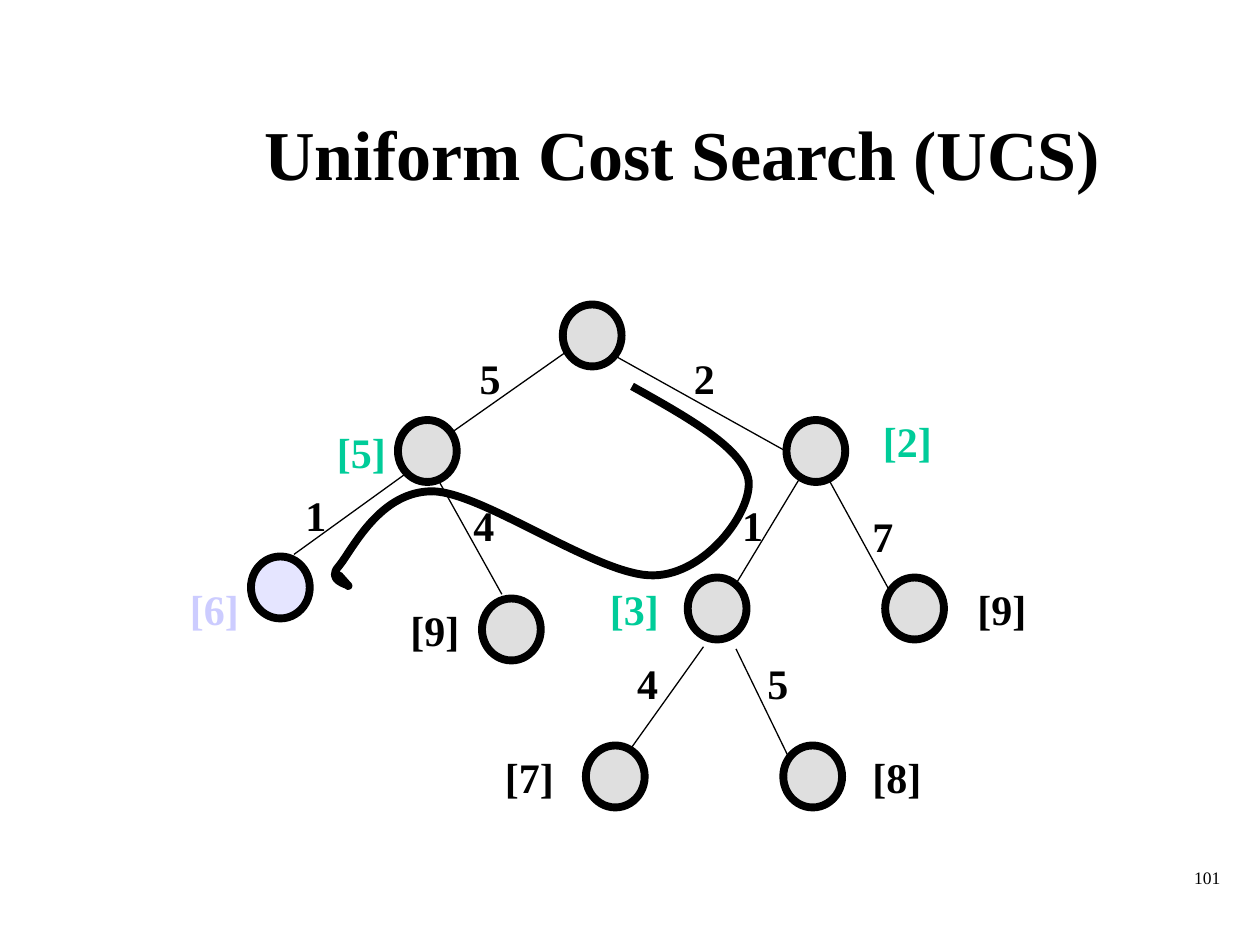
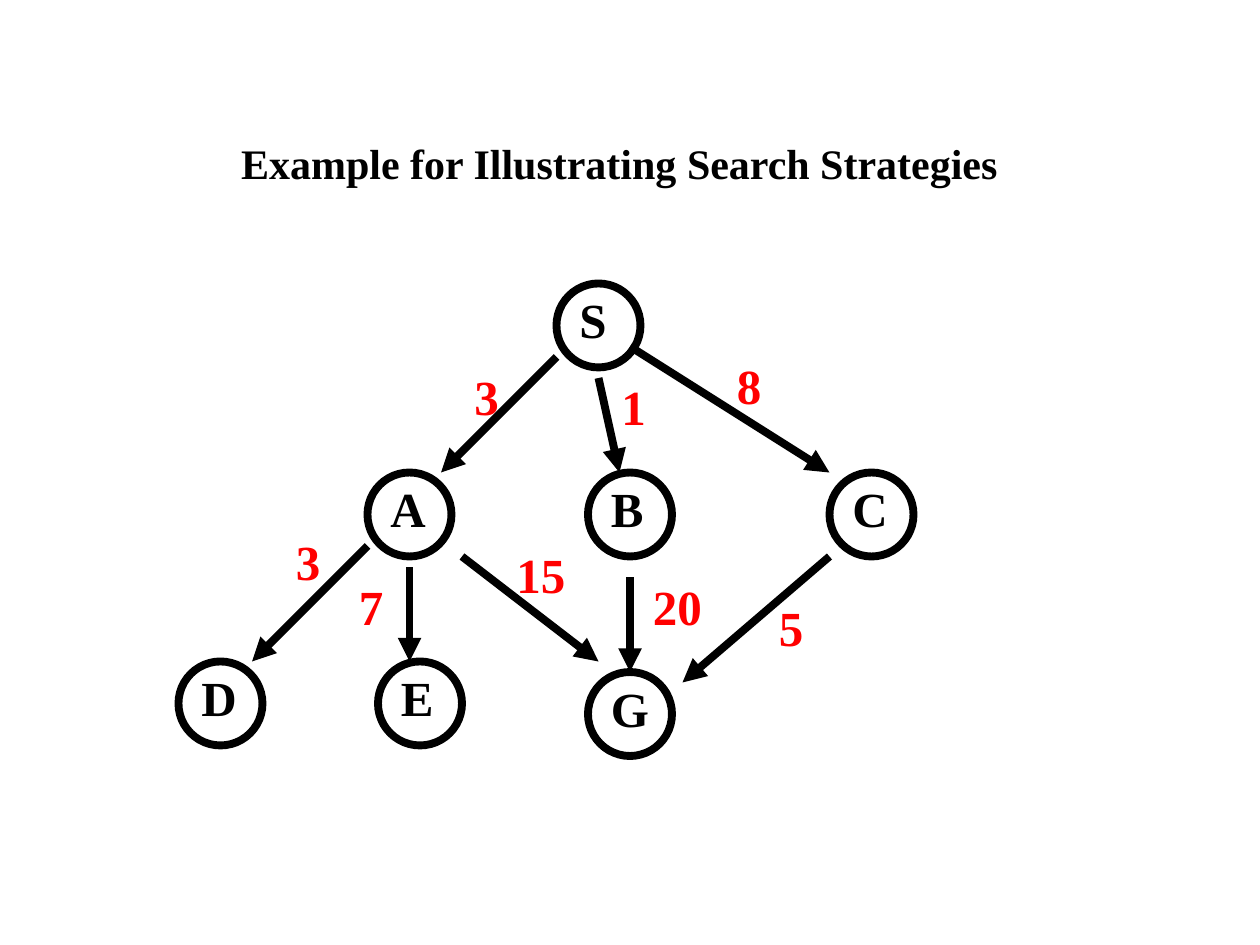
import typing

import pptx
import pptx.dml.color
import pptx.enum.shapes
import pptx.enum.text
import pptx.oxml.ns
import pptx.util
import lxml.etree

PX = 7620  # EMU per px, 120 px to the inch
FONT = "Times New Roman"
BLACK = pptx.dml.color.RGBColor(0x00, 0x00, 0x00)
GREY = pptx.dml.color.RGBColor(0xC0, 0xC0, 0xC0)
LAVENDER = pptx.dml.color.RGBColor(0xCC, 0xCC, 0xFF)
GREEN = pptx.dml.color.RGBColor(0x00, 0xCC, 0x99)
RED = pptx.dml.color.RGBColor(0xFF, 0x00, 0x00)
THICK, THIN = 4.5, 0.75
LEFT = pptx.enum.text.PP_ALIGN.LEFT
CENTER = pptx.enum.text.PP_ALIGN.CENTER
RIGHT = pptx.enum.text.PP_ALIGN.RIGHT
Point = tuple[int, int]


class Node(typing.NamedTuple):
    x: int
    y: int
    fill: pptx.dml.color.RGBColor | None = GREY
    width: int = 56
    height: int = 59


class Edge(typing.NamedTuple):
    start: Point
    end: Point


class Label(typing.NamedTuple):
    text: str
    x: int
    y: int
    width: int
    height: int = 60
    size: int = 24
    color: pptx.dml.color.RGBColor = BLACK
    bold: bool = True


COST_NODES = [
    Node(536, 290), Node(379, 400), Node(749, 400),
    Node(239, 530, LAVENDER), Node(459, 570),
    Node(655, 550), Node(843, 550), Node(558, 710), Node(746, 710),
]
COST_EDGES = [
    Edge((538, 336), (430, 412)), Edge((584, 338), (749, 430)),
    Edge((388, 450), (280, 528)), Edge((419, 460), (478, 566)),
    Edge((762, 455), (701, 556)), Edge((790, 458), (848, 564)),
    Edge((670, 616), (600, 714)), Edge((701, 618), (751, 721)),
]
STEP_COSTS = [
    ("5", 445, 330), ("2", 649, 330), ("1", 279, 460), ("4", 439, 470),
    ("1", 695, 470), ("7", 819, 480), ("4", 595, 620), ("5", 719, 620),
]
TOTAL_COSTS = [
    ("[5]", 309, 400, GREEN), ("[2]", 829, 390, GREEN),
    ("[3]", 569, 550, GREEN), ("[6]", 169, 550, LAVENDER),
    ("[9]", 379, 570, BLACK), ("[9]", 919, 550, BLACK),
    ("[7]", 469, 710, BLACK), ("[8]", 819, 710, BLACK),
]
TRAIL_START = (602, 368)
TRAIL_CURVES = [
    ((656, 398), (709, 428), (713, 458)),
    ((716, 488), (672, 547), (623, 548)),
    ((572, 550), (462, 470), (413, 468)),
    ((362, 467), (336, 523), (323, 539)),
    ((310, 553), (332, 557), (332, 558)),
    ((332, 560), (323, 548), (323, 548)),
    ((323, 548), (331, 557), (332, 558)),
]
# Letter, node left, node top, width of the letter's box
STATES = [
    ("S", 530, 270, 50), ("A", 350, 450, 58), ("B", 560, 450, 55),
    ("C", 790, 450, 58), ("D", 170, 630, 58), ("E", 360, 630, 55),
    ("G", 560, 640, 60),
]
STATE_EDGES = [
    Edge((530, 340), (420, 450)), Edge((570, 360), (590, 450)),
    Edge((600, 330), (790, 450)), Edge((350, 520), (240, 630)),
    Edge((390, 540), (390, 630)), Edge((440, 530), (570, 630)),
    Edge((600, 550), (600, 640)), Edge((790, 530), (650, 650)),
]
STATE_COSTS = [
    ("3", 440, 343), ("1", 580, 353), ("8", 690, 333), ("3", 270, 500),
    ("7", 330, 543), ("15", 480, 513), ("20", 610, 543), ("5", 730, 563),
]


def px(*lengths: int) -> list[pptx.util.Emu]:
    return [pptx.util.Emu(length * PX) for length in lengths]


def apply_format(target, values: dict[str, typing.Any]) -> None:
    for name, value in values.items():
        setattr(target, name, value)


def add_label(page, label: Label, align=LEFT, fixed: bool = False):
    """Write one line of text; a fixed box wraps and keeps its size."""
    box = page.shapes.add_textbox(
        *px(label.x, label.y, label.width, label.height))
    auto = pptx.enum.text.MSO_AUTO_SIZE
    apply_format(box.text_frame, {
        "word_wrap": fixed,
        "auto_size": auto.NONE if fixed else auto.SHAPE_TO_FIT_TEXT,
    })
    para = box.text_frame.paragraphs[0]
    para.alignment = align
    span = para.add_run()
    span.text = label.text
    apply_format(span.font, {
        "name": FONT, "size": pptx.util.Pt(label.size), "bold": label.bold})
    span.font.color.rgb = label.color
    return box


def add_title(page, text: str, x: int, y: int, size: int) -> None:
    label = Label(text, x, y, 1020, 150, size)
    box = add_label(page, label, CENTER, fixed=True)
    box.text_frame.vertical_anchor = pptx.enum.text.MSO_ANCHOR.MIDDLE


def set_line(shape, width: float) -> None:
    shape.line.color.rgb = BLACK
    shape.line.width = pptx.util.Pt(width)


def add_node(page, node: Node):
    """Draw a state as a circle, half transparent where it is filled."""
    circle = page.shapes.add_shape(
        pptx.enum.shapes.MSO_SHAPE.OVAL,
        *px(node.x, node.y, node.width, node.height))
    circle.shadow.inherit = False
    if node.fill is None:
        circle.fill.background()
    else:
        circle.fill.solid()
        circle.fill.fore_color.rgb = node.fill
        color = circle.element.spPr.find(".//" + pptx.oxml.ns.qn("a:srgbClr"))
        lxml.etree.SubElement(
            color, pptx.oxml.ns.qn("a:alpha"), {"val": "50000"})
    set_line(circle, THICK)
    return circle


def add_edge(page, edge: Edge, width: float, arrow: bool = False):
    connector = page.shapes.add_connector(
        pptx.enum.shapes.MSO_CONNECTOR.STRAIGHT, *px(*edge.start, *edge.end))
    set_line(connector, width)
    properties = connector.element.spPr
    if arrow:
        lxml.etree.SubElement(
            properties.find(pptx.oxml.ns.qn("a:ln")),
            pptx.oxml.ns.qn("a:tailEnd"), {"type": "triangle"})
    lxml.etree.SubElement(properties, pptx.oxml.ns.qn("a:effectLst"))
    return connector


def add_graph(page, nodes: list[Node], edges: list[Edge], width: float,
              arrow: bool = False) -> None:
    """Draw nodes and edges, joining an edge that ends on top of a node."""
    tops = {(node.x + node.width // 2, node.y): add_node(page, node)
            for node in nodes}
    for edge in edges:
        connector = add_edge(page, edge, width, arrow)
        if edge.end in tops:
            connector.end_connect(tops[edge.end], 0)


def bend_segments(shape) -> None:
    """Turn every three straight segments of an outline into one curve."""
    qn = pptx.oxml.ns.qn
    segments = list(shape.element.iter(qn("a:lnTo")))
    for first in range(0, len(segments), 3):
        curve = lxml.etree.Element(qn("a:cubicBezTo"))
        segments[first].addprevious(curve)
        for segment in segments[first:first + 3]:
            curve.append(segment[0])
            segment.getparent().remove(segment)


def add_trail(page) -> None:
    builder = page.shapes.build_freeform(*TRAIL_START, scale=PX)
    for curve in TRAIL_CURVES:
        builder.add_line_segments(curve, close=False)
    trail = builder.convert_to_shape()
    bend_segments(trail)
    trail.shadow.inherit = False
    trail.fill.background()
    set_line(trail, THICK)


def build_cost_page(page) -> None:
    add_label(page, Label("101", 924, 820, 250, size=10, bold=False),
              RIGHT, fixed=True)
    add_title(page, "Uniform Cost Search (UCS)", 140, 70, 40)
    add_graph(page, COST_NODES, COST_EDGES, THIN)
    for text, x, y in STEP_COSTS:
        add_label(page, Label(text, x, y, 44))
    for text, x, y, color in TOTAL_COSTS:
        add_label(page, Label(text, x, y, 71, color=color))
    add_trail(page)


def build_example_page(page) -> None:
    add_title(page, "Example for Illustrating Search Strategies", 80, 80, 24)
    nodes = [Node(x, y, None, 80, 80) for _, x, y, _ in STATES]
    add_graph(page, nodes, STATE_EDGES, THICK, arrow=True)
    for letter, x, y, width in STATES:
        add_label(page, Label(letter, x + 10, y, width, 68, 28))
    for text, x, y in STATE_COSTS:
        width = 24 + 24 * len(text)
        add_label(page, Label(text, x, y, width, 68, 28, RED))


def main() -> None:
    deck = pptx.Presentation()
    deck.slide_width, deck.slide_height = px(1200, 900)
    for build in (build_cost_page, build_example_page):
        build(deck.slides.add_slide(deck.slide_layouts[6]))
    deck.save("out.pptx")


if __name__ == "__main__":
    main()
